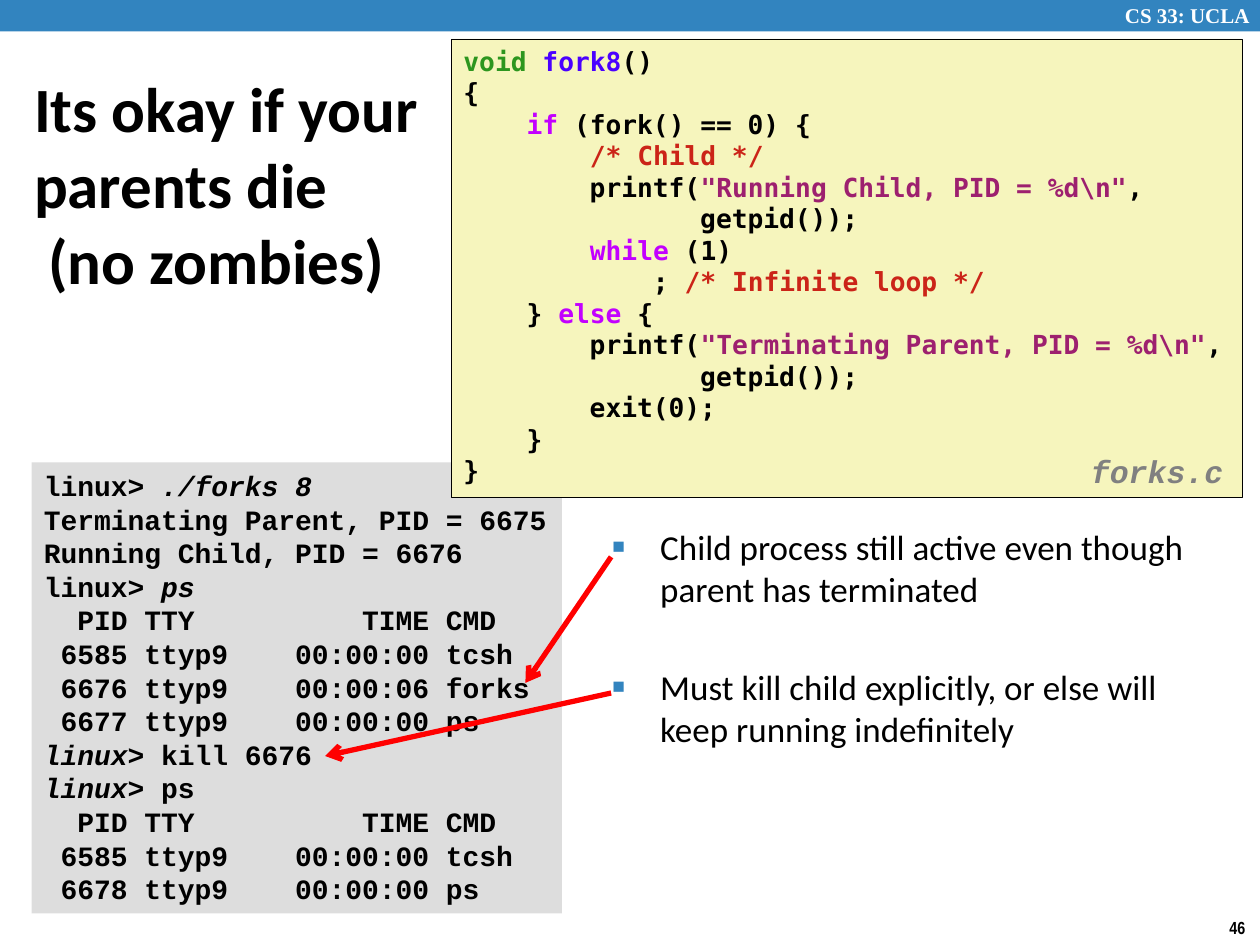
import pptx
import pptx.dml.color
import pptx.enum.dml
import pptx.enum.shapes
import pptx.enum.text
import pptx.oxml
import pptx.oxml.ns
import pptx.util
from pptx.util import Inches

COLORS = {
    "blue": "3284BF", "white": "FFFFFF", "black": "000000", "gray": "808080",
    "terminal": "DDDDDD", "code": "F6F5BD", "arrow": "FF0000",
    "type": "2D961E", "function": "4A00FF", "keyword": "C200FF",
    "comment": "CB2418", "string": "9D206F",
}

# Each line is a list of (text, color name) parts
CODE_LINES = [
    [("void ", "type"), ("fork8", "function"), ("()", "black")],
    [("{", "black")],
    [("    ", "black"), ("if", "keyword"), (" (fork() == 0) {", "black")],
    [("        ", "black"), ("/* Child */", "comment")],
    [("        printf(", "black"),
     ('"Running Child, PID = %d\\n"', "string"), (",", "black")],
    [("               getpid());", "black")],
    [("        ", "black"), ("while", "keyword"), (" (1)", "black")],
    [("            ; ", "black"), ("/* Infinite loop */", "comment")],
    [("    } ", "black"), ("else", "keyword"), (" {", "black")],
    [("        printf(", "black"),
     ('"Terminating Parent, PID = %d\\n"', "string"), (",", "black")],
    [("               getpid());", "black")],
    [("        exit(0);", "black")],
    [("    }", "black")],
    [("}", "black")],
]

# Each line is a list of (text, italic) parts
PROCESS_HEADER = [("  PID TTY          TIME CMD", False)]
SHELL_PROCESS = [(" 6585 ttyp9    00:00:00 tcsh", False)]
TERMINAL_LINES = [
    [("linux> ", False), ("./forks 8", True)],
    [("Terminating Parent, PID = 6675", False)],
    [("Running Child, PID = 6676", False)],
    [("linux> ", False), ("ps", True)],
    PROCESS_HEADER,
    SHELL_PROCESS,
    [(" 6676 ttyp9    00:00:06 forks", False)],
    [(" 6677 ttyp9    00:00:00 ps", False)],
    [("linux>", True), (" kill 6676", False)],
    [("linux> ", True), ("ps", False)],
    PROCESS_HEADER,
    SHELL_PROCESS,
    [(" 6678 ttyp9    00:00:00 ps", False)],
]

BULLETS = [
    "Child process still active even though parent has terminated",
    "Must kill child explicitly, or else will keep running indefinitely",
]


def rgb(name):
    return pptx.dml.color.RGBColor.from_string(COLORS[name])


def style_font(font, name, size, color="black", bold=True, italic=False):
    font.name = name
    font.size = pptx.util.Pt(size)
    font.color.rgb = rgb(color)
    font.bold = bold
    font.italic = italic


def place(shape, left, top, width, height):
    shape.left, shape.top = Inches(left), Inches(top)
    shape.width, shape.height = Inches(width), Inches(height)


def add_panel(slide, box, fill, outlined=False):
    shape = slide.shapes.add_shape(
        pptx.enum.shapes.MSO_SHAPE.RECTANGLE, *map(Inches, box))
    shape.shadow.inherit = False
    shape.fill.solid()
    shape.fill.fore_color.rgb = rgb(fill)
    if outlined:
        shape.line.color.rgb = rgb("black")
        shape.line.width = pptx.util.Pt(0.25)
    else:
        shape.line.fill.background()
    return shape


def write_lines(shape, lines, style_run):
    """Fill a panel with lines of (text, style) parts."""
    text_frame = shape.text_frame
    text_frame.word_wrap = False
    text_frame.vertical_anchor = pptx.enum.text.MSO_ANCHOR.TOP
    for index, parts in enumerate(lines):
        paragraph = (text_frame.add_paragraph() if index
                     else text_frame.paragraphs[0])
        paragraph.alignment = pptx.enum.text.PP_ALIGN.LEFT
        for text, style in parts:
            run = paragraph.add_run()
            run.text = text
            style_run(run.font, style)


def add_label(slide, box, text, *font_style, line_spacing=1.0, italic=False):
    shape = slide.shapes.add_textbox(*map(Inches, box))
    shape.text_frame.word_wrap = False
    shape.text_frame.text = text
    paragraph = shape.text_frame.paragraphs[0]
    paragraph.line_spacing = line_spacing
    style_font(paragraph.runs[0].font, *font_style, italic=italic)


def add_arrow(slide, start, end):
    connector = slide.shapes.add_connector(
        pptx.enum.shapes.MSO_CONNECTOR.STRAIGHT, *map(Inches, start + end))
    connector.line.color.rgb = rgb("arrow")
    connector.line.width = pptx.util.Pt(3)
    line = connector.line._get_or_add_ln()
    line.append(pptx.oxml.parse_xml(
        f'<a:tailEnd {pptx.oxml.ns.nsdecls("a")} type="arrow"/>'))
    connector._element.spPr.append(pptx.oxml.parse_xml(
        f'<a:effectLst {pptx.oxml.ns.nsdecls("a")}/>'))


def add_bullet(paragraph):
    properties = paragraph._p.get_or_add_pPr()
    properties.set("marL", str(Inches(0.38)))
    properties.set("indent", str(-Inches(0.38)))
    namespace = pptx.oxml.ns.nsdecls("a")
    for element in (
            f'<a:buClr {namespace}><a:srgbClr val="{COLORS["blue"]}"/></a:buClr>',
            f'<a:buSzPct {namespace} val="60000"/>',
            f'<a:buChar {namespace} char="■"/>'):
        properties.append(pptx.oxml.parse_xml(element))


def fill_title(title):
    place(title, 0.17, 0.33, 3.41, 2.25)
    text_frame = title.text_frame
    text_frame.text = "Its okay if your parents die\v (no zombies)"
    text_frame.auto_size = pptx.enum.text.MSO_AUTO_SIZE.NONE
    text_frame.vertical_anchor = pptx.enum.text.MSO_ANCHOR.MIDDLE
    paragraph = text_frame.paragraphs[0]
    paragraph.alignment = pptx.enum.text.PP_ALIGN.LEFT
    for run in paragraph.runs:
        style_font(run.font, "Calibri", 36)


def fill_body(body):
    place(body, 4.76, 4.12, 4.74, 2.97)
    text_frame = body.text_frame
    text_frame.text = "\n".join(BULLETS)
    text_frame.auto_size = pptx.enum.text.MSO_AUTO_SIZE.NONE
    for index, paragraph in enumerate(text_frame.paragraphs):
        paragraph.space_before = pptx.util.Pt(32 if index else 0)
        add_bullet(paragraph)
        style_font(paragraph.runs[0].font, "Calibri", 20, bold=False)


def main():
    presentation = pptx.Presentation()
    presentation.slide_width, presentation.slide_height = Inches(10), Inches(7.5)
    slide = presentation.slides.add_slide(presentation.slide_layouts[1])

    # Header bar and page number
    add_panel(slide, (0, 0, 10, 0.25), "blue")
    add_label(slide, (8.83, -0.03, 1.24, 0.3), "CS 33: UCLA",
              "Times New Roman", 12, "white")
    add_label(slide, (9.66, 7.23, 0.34, 0.27), "46", "Arial Narrow", 10)

    # Title and bullets
    fill_title(slide.shapes.title)
    fill_body(slide.placeholders[1])

    # Terminal session, partly under the code listing
    terminal = add_panel(slide, (0.25, 3.67, 4.21, 3.58), "terminal")
    write_lines(terminal, TERMINAL_LINES, lambda font, italic: style_font(
        font, "Courier New", 16, italic=italic))

    # Code listing with its file name
    code = add_panel(slide, (3.58, 0.31, 6.28, 3.64), "code", outlined=True)
    write_lines(code, CODE_LINES, lambda font, color: style_font(
        font, "DejaVu Sans Mono", 15, color))
    add_label(slide, (8.56, 3.56, 1.32, 0.39), "forks.c",
              "Courier New", 18, "gray", line_spacing=0.94, italic=True)

    # Arrows from the bullets to the terminal lines
    add_arrow(slide, (4.85, 4.42), (4.17, 5.42))
    add_arrow(slide, (4.85, 5.5), (2.58, 6))

    presentation.save("out.pptx")


if __name__ == "__main__":
    main()
